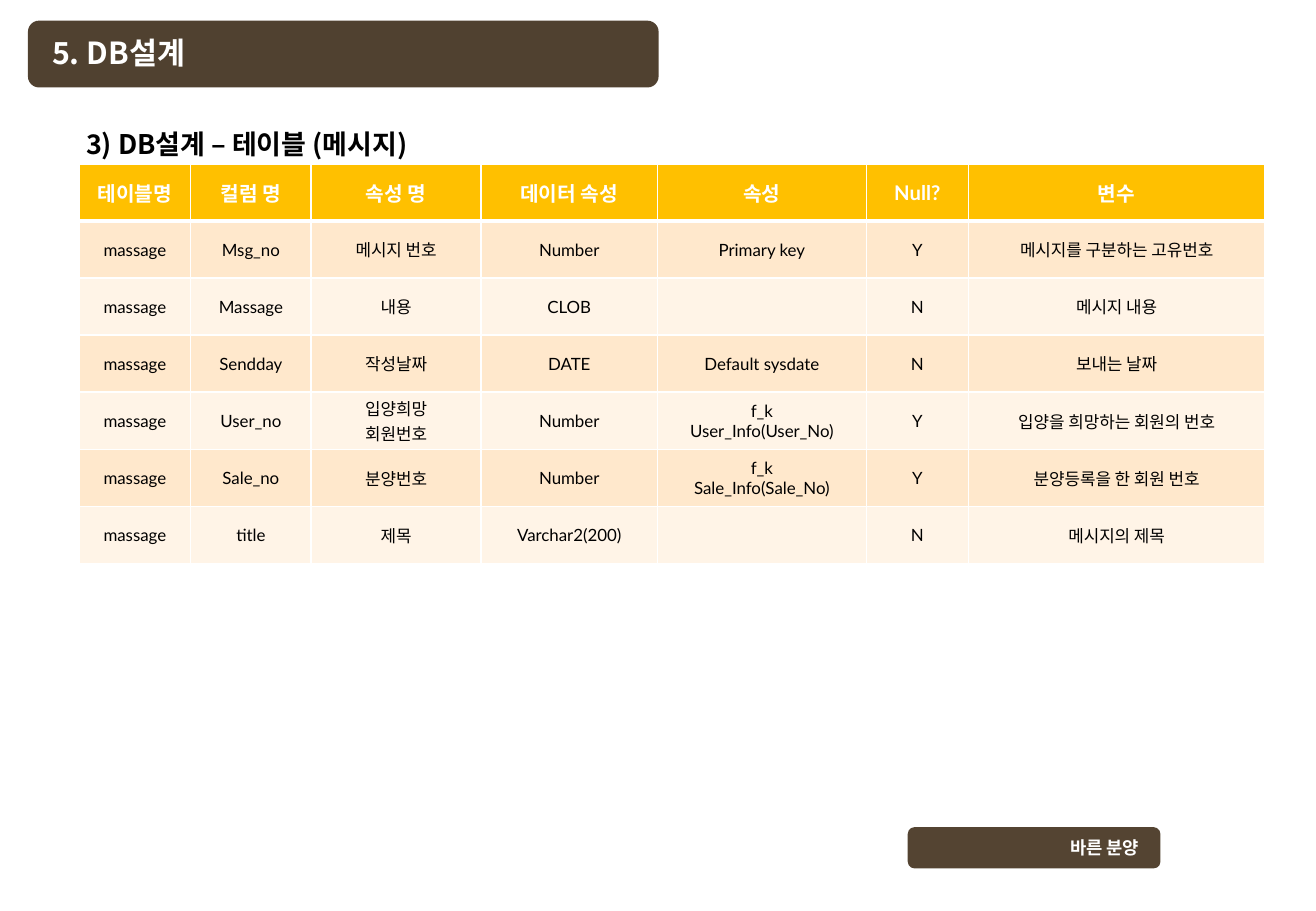
from lxml.etree import SubElement
from pptx import Presentation
from pptx.dml.color import RGBColor
from pptx.enum.shapes import MSO_SHAPE
from pptx.enum.text import MSO_ANCHOR, PP_ALIGN
from pptx.oxml.ns import qn
from pptx.util import Inches, Pt

COLORS = {
    "white": "FFFFFF", "black": "000000", "header": "FFC000",
    "band": "FFE8CC", "light": "FFF4E7", "title": "504130", "footer": "544432",
}
KOREAN, LATIN = "Noto Sans CJK KR", "Lato"
COLUMNS = [0.92, 0.99, 1.4, 1.45, 1.72, 0.84, 2.44]
ROWS = [
    ["테이블명", "컬럼 명", "속성 명", "데이터 속성", "속성", "Null?", "변수"],
    ["massage", "Msg_no", "메시지 번호", "Number", "Primary key", "Y", "메시지를 구분하는 고유번호"],
    ["massage", "Massage", "내용", "CLOB", "", "N", "메시지 내용"],
    ["massage", "Sendday", "작성날짜", "DATE", "Default sysdate", "N", "보내는 날짜"],
    ["massage", "User_no", "입양희망\n회원번호", "Number", "f_k\nUser_Info(User_No)", "Y",
     "입양을 희망하는 회원의 번호"],
    ["massage", "Sale_no", "분양번호", "Number", "f_k\nSale_Info(Sale_No)", "Y",
     "분양등록을 한 회원 번호"],
    ["massage", "title", "제목", "Varchar2(200)", "", "N", "메시지의 제목"],
]


def rgb(name):
    return RGBColor.from_string(COLORS[name])


def write(tf, text, size=10, color="black", bold=False, font=KOREAN, align=PP_ALIGN.LEFT):
    for i, line in enumerate(text.split("\n")):
        p = tf.paragraphs[0] if i == 0 else tf.add_paragraph()
        p.alignment = align
        if not line:
            p.font.size = Pt(size)
            continue
        r = p.add_run()
        r.text = line
        r.font.size, r.font.bold, r.font.name = Pt(size), bold, font
        r.font.color.rgb = rgb(color)
        SubElement(r.font._element, qn("a:ea"), typeface=KOREAN)


class Deck:
    """Holds the presentation style and the current slide."""

    def __init__(self, width, height):
        self.prs = Presentation()
        self.prs.slide_width, self.prs.slide_height = Inches(width), Inches(height)
        self.s = self.prs.slides.add_slide(self.prs.slide_layouts[6])

    def bar(self, x, y, w, h, color):
        sp = self.s.shapes.add_shape(
            MSO_SHAPE.ROUNDED_RECTANGLE, Inches(x), Inches(y), Inches(w), Inches(h))
        sp.shadow.inherit = False
        sp.fill.solid()
        sp.fill.fore_color.rgb = rgb(color)
        sp.line.fill.background()

    def label(self, x, y, w, h, text, **style):
        sp = self.s.shapes.add_textbox(Inches(x), Inches(y), Inches(w), Inches(h))
        sp.text_frame.word_wrap = False
        write(sp.text_frame, text, bold=True, **style)

    def border(self, cell, bottom):
        tcPr = cell._tc.get_or_add_tcPr()
        for i, (side, width) in enumerate(zip("LRTB", (1, 1, 1, bottom))):
            ln = tcPr.makeelement(qn(f"a:ln{side}"), {"w": str(Pt(width))})
            fill = SubElement(ln, qn("a:solidFill"))
            SubElement(fill, qn("a:srgbClr"), val=COLORS["white"])
            tcPr.insert(i, ln)

    def table(self, x, y, columns, row_height, rows):
        table = self.s.shapes.add_table(
            len(rows), len(columns), Inches(x), Inches(y),
            Inches(sum(columns)), Inches(row_height * len(rows))).table
        for column, width in zip(table.columns, columns):
            column.width = Inches(width)
        for i, row in enumerate(rows):
            table.rows[i].height = Inches(row_height)
            header = i == 0
            fill = "header" if header else ("light", "band")[i % 2]
            style = {"size": 12, "color": "white", "bold": True} if header else {}
            for j, text in enumerate(row):
                cell = table.cell(i, j)
                cell.fill.solid()
                cell.fill.fore_color.rgb = rgb(fill)
                cell.vertical_anchor = MSO_ANCHOR.MIDDLE
                cell.margin_top = cell.margin_bottom = Inches(0.02)
                write(cell.text_frame, text, font=LATIN, align=PP_ALIGN.CENTER, **style)
                self.border(cell, 3 if header else 1)


def main():
    deck = Deck(10.83, 7.5)
    deck.bar(7.47, 6.81, 2.08, 0.34, "footer")
    deck.label(8.71, 6.84, 0.84, 0.28, "바른 분양", size=10.5, color="white")
    deck.bar(0.23, 0.17, 5.19, 0.55, "title")
    deck.label(0.33, 0.23, 1.36, 0.4, "5. DB설계", size=18, color="white")
    deck.label(0.61, 1, 3.19, 0.37, "3) DB설계 – 테이블 (메시지)", size=16)
    deck.table(0.65, 1.35, COLUMNS, 0.47, ROWS)
    deck.prs.save("out.pptx")


if __name__ == "__main__":
    main()
